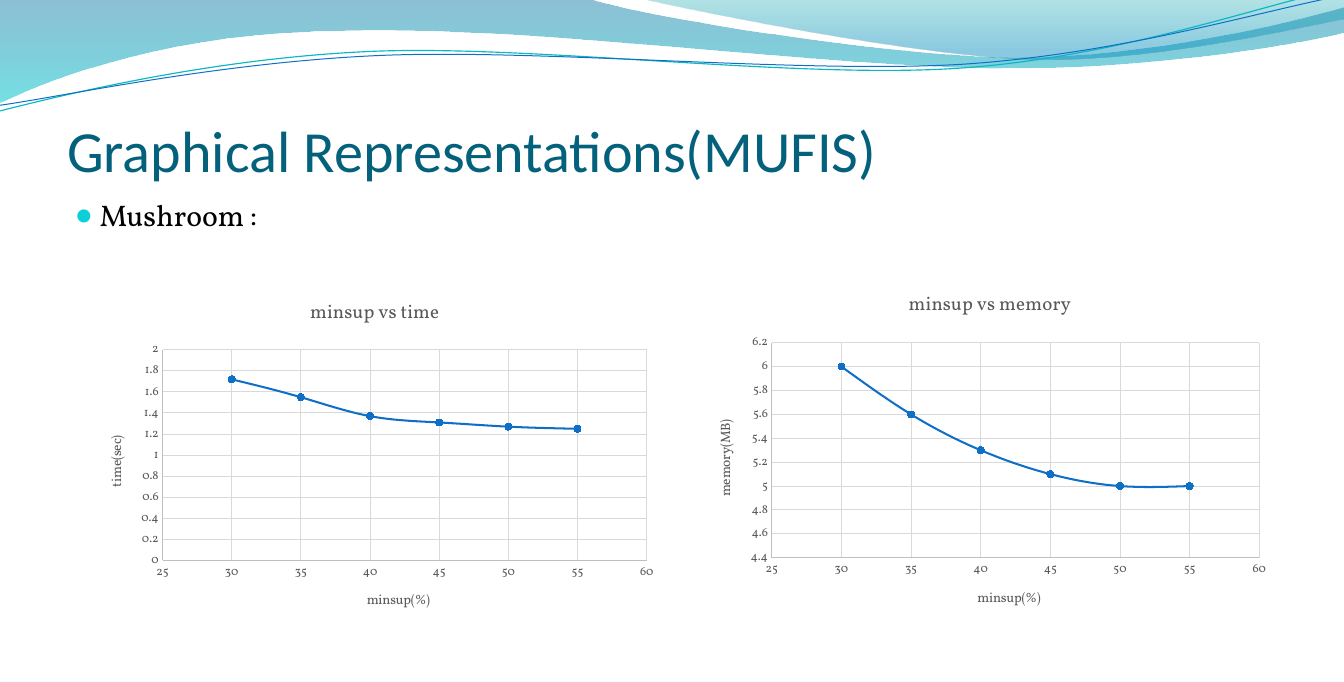
import pptx
import pptx.chart.data
import pptx.dml.color
import pptx.enum.chart
import pptx.enum.text
import pptx.oxml
import pptx.oxml.ns
import pptx.util
from lxml import etree

Pt = pptx.util.Pt
qn = pptx.oxml.ns.qn

COLORS = {
    "title": "04617B", "text": "000000", "bullet": "0BD0D9", "label": "595959",
    "axis": "BFBFBF", "grid": "D9D9D9", "blue": "0F6FC6", "teal": "0AB8BF",
    "wave_top": "0074A1", "wave_bottom": "00C6CF",
    "crest_top": "00A1A9", "crest_bottom": "008BBF",
}
HEADING_FONT, BODY_FONT = "Calibri", "Vollkorn"
WIDTH, HEIGHT = 993.6, 504


def rgb(name):
    return pptx.dml.color.RGBColor.from_string(COLORS[name])


def apply(target, values):
    for attribute, value in values.items():
        setattr(target, attribute, value)


class SlideStyle:
    def __init__(self, slide):
        self.slide = slide

    def font(self, font, size, color, name=BODY_FONT):
        apply(font, {"name": name, "size": Pt(size), "bold": False})
        font.color.rgb = rgb(color)

    def line(self, line, color, width):
        line.color.rgb = rgb(color)
        line.width = Pt(width)

    def outline(self, start, segments, close):
        """Draw straight (1 point) and cubic (3 points) segments."""
        builder = self.slide.shapes.build_freeform(*map(Pt, start))
        builder.add_line_segments(
            [(Pt(x), Pt(y)) for segment in segments for x, y in segment], close=close)
        shape = builder.convert_to_shape()
        shape.shadow.inherit = False
        # Bend every group of three lines into one cubic curve
        steps = iter(list(shape._element.iter(qn("a:lnTo"))))
        for segment in segments:
            group = [next(steps) for _ in segment]
            if len(group) == 3:
                curve = etree.Element(qn("a:cubicBezTo"))
                group[0].addprevious(curve)
                for step in group:
                    curve.append(step[0])
                    step.getparent().remove(step)
        return shape

    def wave(self, start, segments, stops):
        shape = self.outline(start, segments, True)
        shape.line.fill.background()
        shape.fill.gradient()
        shape.fill.gradient_angle = 270
        for stop, (position, color, opacity) in zip(shape.fill.gradient_stops, stops):
            stop.position = position
            stop.color.rgb = rgb(color)
        for tint, (_, _, opacity) in zip(shape._element.spPr.iter(qn("a:srgbClr")), stops):
            etree.SubElement(tint, qn("a:alpha"), val=str(opacity * 1000))

    def strand(self, start, segments, color, width):
        shape = self.outline(start, segments, False)
        shape.fill.background()
        self.line(shape.line, color, width)

    def frame(self, frame, side_margin, bottom_margin, anchor):
        apply(frame, {
            "word_wrap": True, "auto_size": pptx.enum.text.MSO_AUTO_SIZE.NONE,
            "vertical_anchor": anchor,
            "margin_left": Pt(side_margin), "margin_right": Pt(side_margin),
            "margin_top": Pt(3), "margin_bottom": Pt(bottom_margin)})

    def title(self, text, box):
        title = self.slide.shapes.title
        apply(title, dict(zip(("left", "top", "width", "height"), map(Pt, box))))
        self.frame(title.text_frame, 0, 0, pptx.enum.text.MSO_ANCHOR.BOTTOM)
        title.text_frame.text = text
        paragraph = title.text_frame.paragraphs[0]
        paragraph.alignment = pptx.enum.text.PP_ALIGN.LEFT
        self.font(paragraph.font, 43, "title", HEADING_FONT)

    def bullet(self, text, box):
        body = self.slide.shapes.add_textbox(*map(Pt, box)).text_frame
        self.frame(body, 6, 3, pptx.enum.text.MSO_ANCHOR.TOP)
        body.text = text
        paragraph = body.paragraphs[0]
        properties = paragraph._p.get_or_add_pPr()
        properties.set("marL", str(Pt(18)))
        properties.set("indent", str(-Pt(18)))
        tint = etree.SubElement(properties, qn("a:buClr"))
        etree.SubElement(tint, qn("a:srgbClr"), val=COLORS["bullet"])
        etree.SubElement(properties, qn("a:buSzPct"), val="95000")
        etree.SubElement(properties, qn("a:buFont"), typeface=HEADING_FONT)
        etree.SubElement(properties, qn("a:buChar"), char="●")
        self.font(paragraph.font, 22, "text")

    def place(self, element, index, **fractions):
        """Fix the layout of a chart part as fractions of the chart."""
        layout = element.find(qn("c:layout"))
        if layout is None:
            layout = etree.Element(qn("c:layout"))
            element.insert(index, layout)
        manual = etree.SubElement(layout, qn("c:manualLayout"))
        if "w" in fractions:
            etree.SubElement(manual, qn("c:layoutTarget"), val="inner")
        for side in "xy":
            etree.SubElement(manual, qn(f"c:{side}Mode"), val="edge")
        for key, value in fractions.items():
            etree.SubElement(manual, qn(f"c:{key}"), val=str(value))

    def chart_label(self, label, text, size, x, y):
        label.text_frame.text = text
        self.font(label.text_frame.paragraphs[0].font, size, "label")
        self.place(label._element, 1, x=x, y=y)

    def axis(self, axis, low, high, step):
        apply(axis, {
            "minimum_scale": low, "maximum_scale": high, "major_unit": step,
            "has_major_gridlines": True,
            "major_tick_mark": pptx.enum.chart.XL_TICK_MARK.NONE,
            "minor_tick_mark": pptx.enum.chart.XL_TICK_MARK.NONE})
        apply(axis.tick_labels, {"number_format": "General",
                                 "number_format_is_linked": False})
        self.font(axis.tick_labels.font, 9, "label")
        self.line(axis.format.line, "axis", 0.75)
        self.line(axis.major_gridlines.format.line, "grid", 0.75)

    def scatter(self, box, title, title_x, measure, measure_y, scale, values):
        data = pptx.chart.data.XyChartData()
        series = data.add_series("Series 1")
        for minsup, value in zip(range(30, 60, 5), values):
            series.add_data_point(minsup, value)
        chart = self.slide.shapes.add_chart(
            pptx.enum.chart.XL_CHART_TYPE.XY_SCATTER_SMOOTH, *map(Pt, box), data).chart
        apply(chart, {"has_legend": False, "has_title": True})
        self.font(chart.font, 10, "text")
        self.chart_label(chart.chart_title, title, 14, title_x, 0.03)
        self.place(chart._chartSpace.chart.plotArea, 0, x=0.13, y=0.19, w=0.84, h=0.61)

        # Axes
        self.axis(chart.category_axis, 25, 60, 5)
        self.axis(chart.value_axis, *scale)
        self.chart_label(chart.category_axis.axis_title, "minsup(%)", 10, 0.48, 0.88)
        measure_title = chart.value_axis.axis_title
        self.chart_label(measure_title, measure, 10, 0.03, measure_y)
        turned = measure_title.text_frame._txBody.bodyPr
        turned.set("rot", "-5400000")
        turned.set("vert", "horz")

        # Curve and markers
        plot = chart.plots[0]
        plot.vary_by_categories = False
        curve = plot.series[0]
        curve._element.get_or_add_smooth().val = True
        self.line(curve.format.line, "blue", 1.5)
        apply(curve.marker, {"style": pptx.enum.chart.XL_MARKER_STYLE.CIRCLE, "size": 5})
        curve.marker.format.fill.solid()
        curve.marker.format.fill.fore_color.rgb = rgb("blue")
        self.line(curve.marker.format.line, "blue", 0.75)


def main():
    deck = pptx.Presentation()
    apply(deck, {"slide_width": Pt(WIDTH), "slide_height": Pt(HEIGHT)})
    page = SlideStyle(deck.slides.add_slide(deck.slide_layouts[5]))

    # Wave header
    page.wave((0, 0), [
        [(437.5, 0)],
        [(472, 11.5), (659.5, 42.5), (754, 42.5)],
        [(847.5, 42.5), (952.5, 17.5), (WIDTH, 5.8)],
        [(WIDTH, 24.5)],
        [(977, 29.5), (864, 51), (741, 50.4)],
        [(618, 50.4), (379.5, 18.5), (255.5, 23)],
        [(128, 24), (45, 55.5), (0, 76)],
    ], [(0, "wave_top", 45), (1, "wave_bottom", 55)])
    page.wave((476, 0), [
        [(506, 7), (677.5, 42), (764, 44)],
        [(850, 46), (955.5, 21.5), (WIDTH, 14.4)],
        [(WIDTH, 0)],
    ], [(0, "crest_top", 30), (0.8, "crest_bottom", 45)])
    page.strand((0, 82), [
        [(47.5, 70), (157, 43), (275, 38)],
        [(393, 33), (588, 58.5), (708, 50.5)],
        [(827.5, 42.5), (932.5, 3.6), (992, -8.6)],
    ], "teal", 0.85)
    page.strand((0, 77.8), [
        [(47, 71.3), (162.5, 46), (281.5, 41)],
        [(400, 36), (593, 54.7), (712, 47.5)],
        [(831, 39.6), (935.5, 7.2), (994, -3.6)],
    ], "blue", 0.75)

    # Title and data set
    page.title("Graphical Representations(MUFIS)", (49.7, 51.8, 894.2, 84.2))
    page.bullet("Mushroom :", (49.7, 142.6, 894.2, 322.6))

    # Time and memory charts
    page.scatter((64.8, 210.2, 426.2, 254.9), "minsup vs time", 0.38,
                 "time(sec)", 0.43, (0, 2, 0.2),
                 (1.72, 1.55, 1.37, 1.31, 1.27, 1.25))
    page.scatter((514.8, 203.8, 429.1, 260.6), "minsup vs memory", 0.36,
                 "memory(MB)", 0.4, (4.4, 6.2, 0.2),
                 (6, 5.6, 5.3, 5.1, 5, 5))

    deck.save("out.pptx")


if __name__ == "__main__":
    main()
